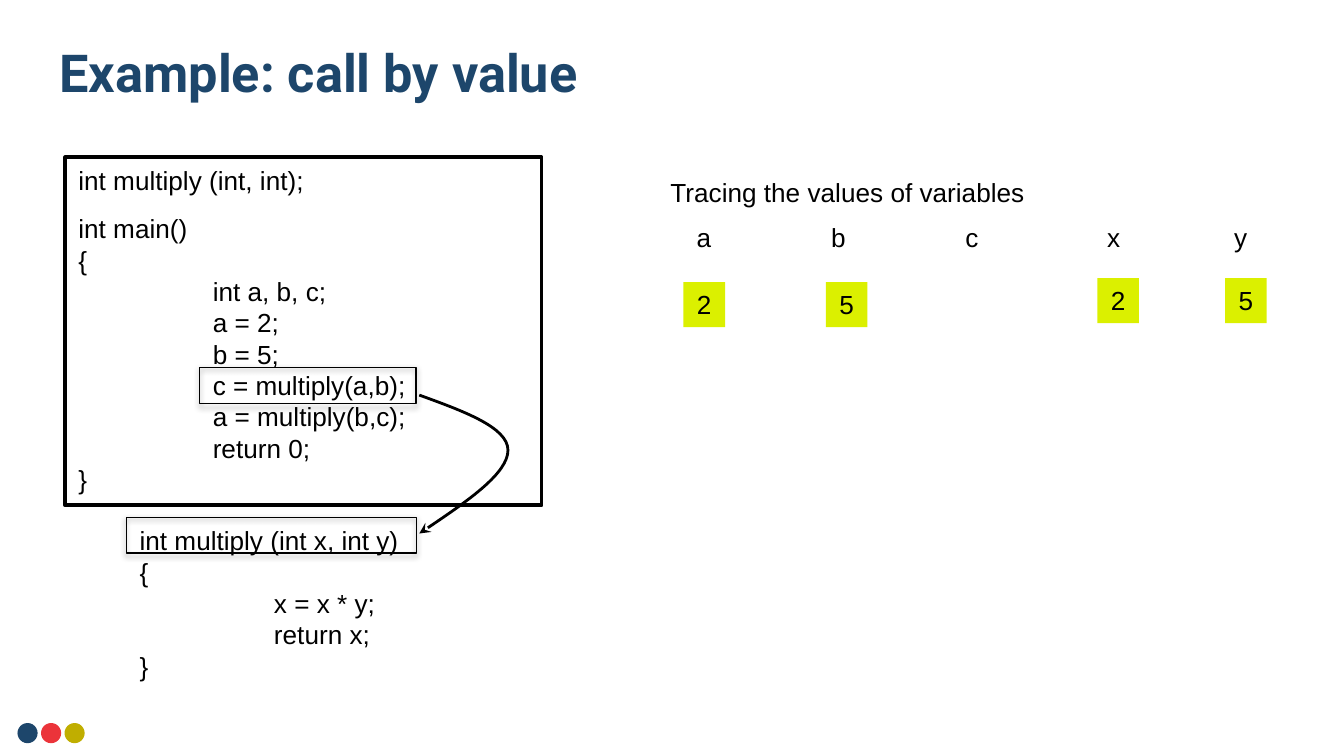
import dataclasses

import lxml.etree
import pptx
import pptx.dml.color
import pptx.enum.shapes
import pptx.enum.text
import pptx.oxml.ns
import pptx.util

EMU_PER_PX = 4572
SHAPES = pptx.enum.shapes.MSO_SHAPE
ALIGN = pptx.enum.text.PP_ALIGN
ANCHOR = pptx.enum.text.MSO_ANCHOR


@dataclasses.dataclass(frozen=True)
class Theme:
    navy: str = "1D466B"
    red: str = "EB343A"
    gold: str = "C0AE00"
    lime: str = "DBF000"
    black: str = "000000"
    white: str = "FFFFFF"
    title_font: str = "Roboto"
    body_font: str = "Arial"
    title_size: int = 28
    body_size: int = 14
    line_height: float = 16.8
    tab_width: int = 200


def px(length):
    return pptx.util.Emu(length * EMU_PER_PX)


def rgb(color):
    return pptx.dml.color.RGBColor.from_string(color)


def add_xml(parent, tag, **attributes):
    element = lxml.etree.SubElement(parent, pptx.oxml.ns.qn(tag))
    for name, value in attributes.items():
        element.set(name, str(value))
    return element


class SlideBuilder:
    def __init__(self, page, theme):
        self.page = page
        self.theme = theme

    def paint(self, shape, fill=None, line=None, width=0.75):
        if fill:
            shape.fill.solid()
            shape.fill.fore_color.rgb = rgb(fill)
        else:
            shape.fill.background()
        if line:
            shape.line.color.rgb = rgb(line)
            shape.line.width = pptx.util.Pt(width)
        else:
            shape.line.fill.background()

    def dot(self, left, top, size, color):
        shape = self.page.shapes.add_shape(SHAPES.OVAL, px(left), px(top), px(size), px(size))
        shape.shadow.inherit = False
        self.paint(shape, color)

    def title(self, left, top, width, height, text):
        box = self.page.shapes.add_textbox(px(left), px(top), px(width), px(height))
        frame = box.text_frame
        frame.word_wrap = True
        frame.vertical_anchor = ANCHOR.MIDDLE
        frame.margin_top = frame.margin_bottom = px(20)
        para = frame.paragraphs[0]
        para.text = text
        font = para.font
        font.name = self.theme.title_font
        font.size = pptx.util.Pt(self.theme.title_size)
        font.bold = True
        font.color.rgb = rgb(self.theme.navy)

    def text(self, left, top, width, height, lines, gap_before=None, wrap=True, align=ALIGN.LEFT):
        box = self.page.shapes.add_textbox(px(left), px(top), px(width), px(height))
        frame = box.text_frame
        frame.word_wrap = wrap
        for index, line in enumerate(lines):
            para = frame.paragraphs[0] if index == 0 else frame.add_paragraph()
            para.text = line
            para.alignment = align
            para.line_spacing = pptx.util.Pt(self.theme.line_height)
            if index == gap_before:
                para.space_before = pptx.util.Pt(9.3)
            if "\t" in line:
                stops = add_xml(para._p.get_or_add_pPr(), "a:tabLst")
                for stop in range(1, line.count("\t") + 1):
                    add_xml(stops, "a:tab", pos=px(stop * self.theme.tab_width), algn="l")
            font = para.font
            font.name = self.theme.body_font
            font.size = pptx.util.Pt(self.theme.body_size)
            font.color.rgb = rgb(self.theme.black)
        return box

    def value(self, left, top, number):
        box = self.text(left, top, 62, 67, [number], wrap=False, align=ALIGN.CENTER)
        self.paint(box, self.theme.lime)

    def highlight(self, left, top, width, height):
        shape = self.page.shapes.add_shape(SHAPES.RECTANGLE, px(left), px(top), px(width), px(height))
        self.paint(shape, line=self.theme.black)
        effects = add_xml(shape._element.spPr, "a:effectLst")
        shadow = add_xml(
            effects, "a:outerShdw", blurRad=pptx.util.Pt(3.1), dist=pptx.util.Pt(1.6),
            dir=5400000, rotWithShape=0,
        )
        add_xml(add_xml(shadow, "a:srgbClr", val=self.theme.black), "a:alpha", val=38000)

    def curved_arrow(self, start, curves):
        builder = self.page.shapes.build_freeform(*start, scale=EMU_PER_PX)
        builder.add_line_segments([curve[-1] for curve in curves], close=False)
        shape = builder.convert_to_shape()
        shape.shadow.inherit = False
        self.paint(shape, line=self.theme.black, width=1.5)
        add_xml(shape.line._get_or_add_ln(), "a:tailEnd", type="stealth")
        left, top = start
        segments = list(shape._element.iter(pptx.oxml.ns.qn("a:lnTo")))
        for segment, curve in zip(segments, curves):
            route = segment.getparent()
            bend = add_xml(route, "a:cubicBezTo")
            for x, y in curve:
                add_xml(bend, "a:pt", x=x - left, y=y - top)
            route.replace(segment, bend)


def main():
    theme = Theme()
    deck = pptx.Presentation()
    deck.slide_width, deck.slide_height = px(2000), px(1125)
    page = deck.slides.add_slide(deck.slide_layouts[6])
    builder = SlideBuilder(page, theme)

    for index, color in enumerate([theme.navy, theme.red, theme.gold]):
        builder.dot(26 + 35 * index, 1076, 30, color)
    builder.title(69, 20, 1596, 174, "Example: call by value")

    main_code = builder.text(97, 234, 709, 518, [
        "int multiply (int, int);",
        "int main()",
        "{",
        "\tint a, b, c;",
        "\ta = 2;",
        "\tb = 5;",
        "\tc = multiply(a,b);",
        "\ta = multiply(b,c);",
        "\treturn 0;",
        "}",
    ], gap_before=1)
    builder.paint(main_code, theme.white, theme.black, 2)
    builder.text(188, 771, 576, 256, [
        "int multiply (int x, int y)",
        "{",
        "\tx = x * y;",
        "\treturn x;",
        "}",
    ])

    builder.text(978, 252, 572, 67, ["Tracing the values of variables"])
    builder.text(1017, 320, 868, 67, ["a\tb\tc\t x\ty"])
    for left, top, number in [(1017, 420, "2"), (1229, 420, "5"), (1633, 414, "2"), (1823, 414, "5")]:
        builder.value(left, top, number)

    builder.highlight(297, 547, 322, 54)
    builder.highlight(188, 770, 432, 53)
    builder.curved_arrow((624, 588), [
        [(690, 612), (756, 636), (756, 670)],
        [(756, 704), (690, 750), (624, 794)],
    ])
    deck.save("out.pptx")


if __name__ == "__main__":
    main()
